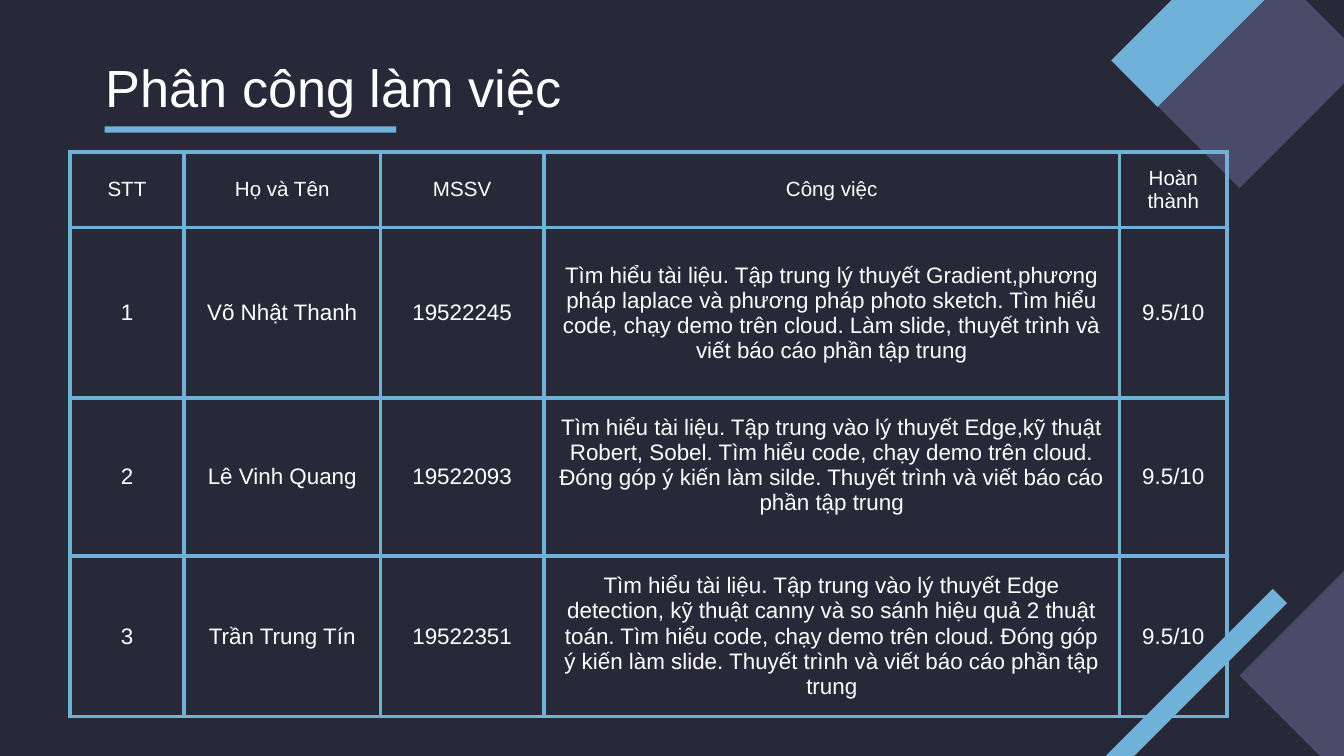
from typing import NamedTuple

from lxml import etree
from pptx import Presentation
from pptx.dml.color import RGBColor
from pptx.enum.shapes import MSO_SHAPE
from pptx.enum.text import MSO_ANCHOR, PP_ALIGN
from pptx.oxml.ns import qn
from pptx.util import Cm, Pt

RECT = MSO_SHAPE.RECTANGLE
MID = MSO_ANCHOR.MIDDLE
LEFT, CENTER = PP_ALIGN.LEFT, PP_ALIGN.CENTER

NIGHT = RGBColor(0x28, 0x29, 0x38)
SLATE = RGBColor(0x48, 0x4C, 0x68)
SKY = RGBColor(0x70, 0xB1, 0xDA)
WHITE = RGBColor(0xFF, 0xFF, 0xFF)
FONT = "Arial"
INSET = Cm(0.25)


class Bar(NamedTuple):
    left: float
    top: float
    width: float
    height: float
    color: RGBColor
    turn: int = 45


class Task(NamedTuple):
    order: str
    name: str
    code: str
    work: str
    score: str
    foot: float = 0.25


BARS = [
    Bar(24.13, 11.07, 3.4, 3.4, SLATE),
    Bar(22.61, -0.18, 2.36, 3.4, SLATE),
    Bar(22.02, -1.32, 1.24, 3.4, SKY),
    Bar(22.05, 10.46, 0.38, 5.51, SKY),
    Bar(1.98, 2.39, 5.51, 0.12, SKY, 0),
]

TASKS = [
    Task("STT", "Họ và Tên", "MSSV", "Công việc", "Hoàn thành"),
    Task("1", "Võ Nhật Thanh", "19522245",
         "Tìm hiểu tài liệu. Tập trung lý thuyết Gradient,phương pháp laplace "
         "và phương pháp photo sketch. Tìm hiểu code, chạy demo trên cloud. "
         "Làm slide, thuyết trình và viết báo cáo phần tập trung", "9.5/10"),
    Task("2", "Lê Vinh Quang", "19522093",
         "Tìm hiểu tài liệu. Tập trung vào lý thuyết Edge,kỹ thuật Robert, "
         "Sobel. Tìm hiểu code, chạy demo trên cloud. Đóng góp ý kiến làm "
         "silde. Thuyết trình và viết báo cáo phần tập trung", "9.5/10", 0.7),
    Task("3", "Trần Trung Tín", "19522351",
         "Tìm hiểu tài liệu. Tập trung vào lý thuyết Edge detection, kỹ thuật "
         "canny và so sánh hiệu quả 2 thuật toán. Tìm hiểu code, chạy demo "
         "trên cloud. Đóng góp ý kiến làm slide. Thuyết trình và viết báo cáo "
         "phần tập trung", "9.5/10"),
]
COLS = [2.16, 3.71, 3.09, 10.88, 2.03]
ROWS = [1.37, 3.22, 2.87, 2.87]


def write(frame, text: str, *, size: float, align=LEFT) -> None:
    para = frame.paragraphs[0]
    para.alignment = align
    run = para.add_run()
    run.text = text
    run.font.name = FONT
    run.font.size = Pt(size)
    run.font.color.rgb = WHITE


def pad(box, foot=INSET) -> None:
    box.margin_left = box.margin_right = box.margin_top = INSET
    box.margin_bottom = foot
    box.vertical_anchor = MID


def draw_bar(slide, bar: Bar) -> None:
    shape = slide.shapes.add_shape(
        RECT, Cm(bar.left), Cm(bar.top), Cm(bar.width), Cm(bar.height))
    shape.rotation = bar.turn
    shape.shadow.inherit = False
    shape.fill.solid()
    shape.fill.fore_color.rgb = bar.color
    shape.line.fill.background()


def draw_title(slide, text: str) -> None:
    box = slide.shapes.add_textbox(Cm(1.75), Cm(0.89), Cm(21.44), Cm(1.5))
    frame = box.text_frame
    frame.word_wrap = True
    pad(frame)
    write(frame, text, size=28)


def edge_cell(cell) -> None:
    props = cell._tc.get_or_add_tcPr()
    for spot, side in enumerate(("a:lnL", "a:lnR", "a:lnT", "a:lnB")):
        line = etree.Element(qn(side), w=str(Pt(2.25)))
        fill = etree.SubElement(line, qn("a:solidFill"))
        etree.SubElement(fill, qn("a:srgbClr"), val=str(SKY))
        props.insert(spot, line)


def draw_table(slide, tasks: list[Task]) -> None:
    table = slide.shapes.add_table(
        len(ROWS), len(COLS), Cm(1.32), Cm(2.87),
        Cm(sum(COLS)), Cm(sum(ROWS))).table
    table.first_row = table.horz_banding = False
    for col, width in zip(table.columns, COLS):
        col.width = Cm(width)
    for row, height in zip(table.rows, ROWS):
        row.height = Cm(height)
    for r, task in enumerate(tasks):
        for c, text in enumerate(task[:len(COLS)]):
            cell = table.cell(r, c)
            pad(cell, Cm(task.foot) if text == task.work else INSET)
            cell.fill.background()
            edge_cell(cell)
            write(cell.text_frame, text, size=12 if r else 11, align=CENTER)


def main() -> None:
    deck = Presentation()
    deck.slide_width, deck.slide_height = Cm(25.4), Cm(14.29)
    slide = deck.slides.add_slide(deck.slide_layouts[6])
    slide.background.fill.solid()
    slide.background.fill.fore_color.rgb = NIGHT
    for bar in BARS:
        draw_bar(slide, bar)
    draw_title(slide, "Phân công làm việc")
    draw_table(slide, TASKS)
    deck.save("out.pptx")


if __name__ == "__main__":
    main()
